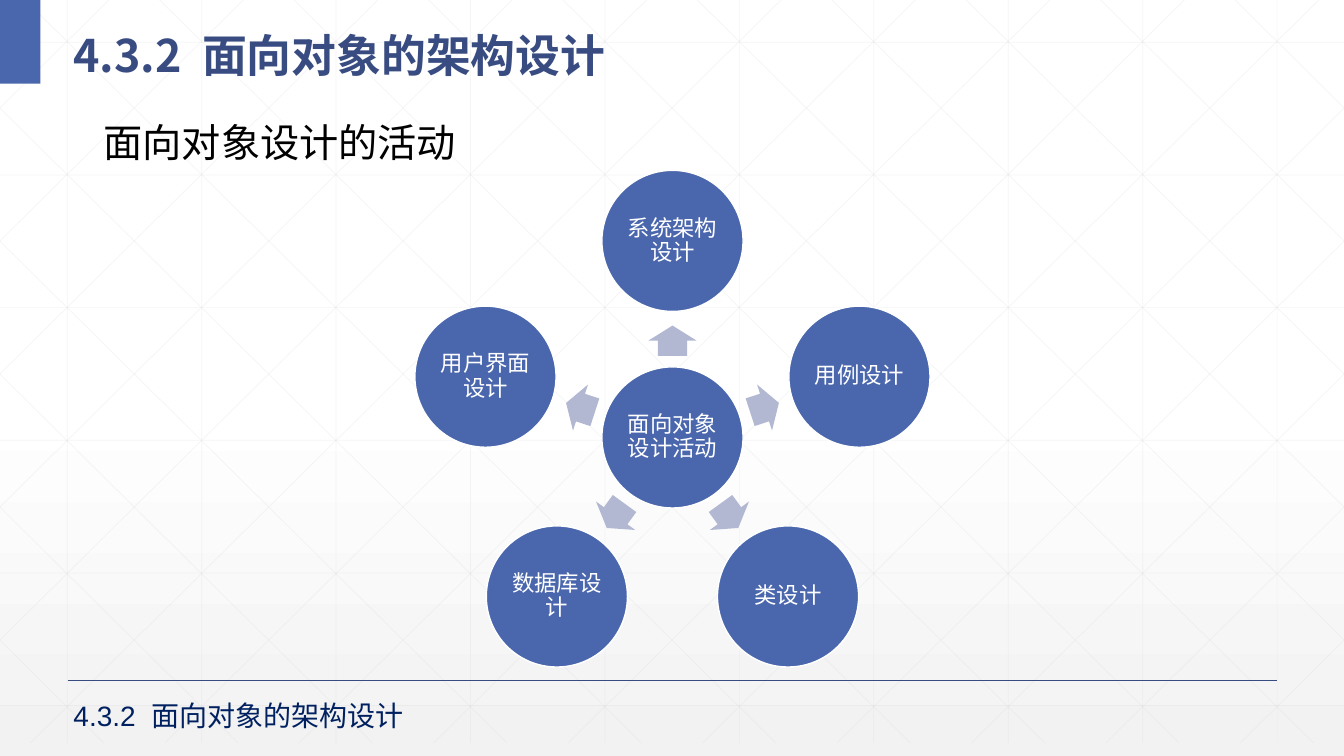
from dataclasses import dataclass
from math import cos, radians, sin

from lxml import etree
from pptx import Presentation
from pptx.dml.color import RGBColor
from pptx.enum.shapes import MSO_CONNECTOR, MSO_SHAPE
from pptx.enum.text import MSO_ANCHOR, PP_ALIGN
from pptx.oxml.ns import qn
from pptx.util import Inches, Pt

STRAIGHT = MSO_CONNECTOR.STRAIGHT
RECT, OVAL, ARROW = MSO_SHAPE.RECTANGLE, MSO_SHAPE.OVAL, MSO_SHAPE.RIGHT_ARROW
MIDDLE, TOP = MSO_ANCHOR.MIDDLE, MSO_ANCHOR.TOP
CENTER = PP_ALIGN.CENTER

WIDE, HIGH, DEEP = 13.33, 7.5, 7.37
BLUE, NAVY, WHITE = "4A66AC", "384C81", "FFFFFF"
HAN = "Noto Sans CJK SC"
HUB_X, HUB_Y, SIZE = 6.67, 4.34, 1.4
ORBIT, REACH = 1.95, 0.96
HUB = "面向对象设计活动"
TASKS = ["系统架构设计", "用例设计", "类设计", "数据库设计", "用户界面设计"]


@dataclass
class Label:
    words: list[str]
    left: float
    top: float
    width: float
    height: float
    size: int
    color: str
    face: str = "Arial"
    bold: bool = False
    wrap: bool = True
    anchor: MSO_ANCHOR = TOP
    lead: float = 1.0
    gap: int = 0


LABELS = [
    Label(["4.3.2", " ", "面向对象的架构设计"], 0.63, 0.1, 12.42, 0.73, 32, NAVY,
          face=HAN, bold=True, anchor=MIDDLE, lead=1.3, gap=700),
    Label(["面向对象设计的活动"], 0.93, 1.12, 3.7, 0.56, 28, "000000", wrap=False),
    Label(["4.3.2", " ", "面向对象的架构设计"], 0.63, 6.88, 4.69, 0.44, 20, "002060", gap=550),
]


def paint(color, code: str) -> None:
    color.rgb = RGBColor.from_string(code)


def apply(item, values: dict) -> None:
    for name, value in values.items():
        setattr(item, name, value)


def style(run, size: int, color: str, face: str = "Arial", bold: bool = False) -> None:
    apply(run.font, {"size": Pt(size), "name": face, "bold": bold})
    paint(run.font.color, color)
    etree.SubElement(run.font._element, qn("a:ea")).set("typeface", HAN)


def draw_line(slide, start: tuple, end: tuple, color: str, width: float, alpha: int = 100) -> None:
    line = slide.shapes.add_connector(STRAIGHT, *map(Inches, start + end))
    line.line.width = Pt(width)
    paint(line.line.color, color)
    if alpha < 100:
        tone = line._element.spPr.find(".//" + qn("a:srgbClr"))
        etree.SubElement(tone, qn("a:alpha")).set("val", str(alpha * 1000))
    etree.SubElement(line._element.spPr, qn("a:effectLst"))


def draw_shape(slide, kind: MSO_SHAPE, box: tuple, fill: str):
    shape = slide.shapes.add_shape(kind, *map(Inches, box))
    shape.shadow.inherit = False
    shape.fill.solid()
    paint(shape.fill.fore_color, fill)
    shape.line.fill.background()
    return shape


def draw_node(slide, text: str, x: float, y: float) -> None:
    node = draw_shape(slide, OVAL, (x - SIZE / 2, y - SIZE / 2, SIZE, SIZE), BLUE)
    node.line.fill.solid()
    paint(node.line.color, WHITE)
    node.line.width = Pt(1)
    frame = node.text_frame
    inset = Inches(0.02)
    apply(frame, {"word_wrap": True, "vertical_anchor": MIDDLE, "margin_left": inset,
                  "margin_right": inset, "margin_top": inset, "margin_bottom": inset})
    para = frame.paragraphs[0]
    apply(para, {"alignment": CENTER, "line_spacing": 0.9})
    run = para.add_run()
    run.text = text
    style(run, 16, WHITE)


def draw_arrow(slide, x: float, y: float, angle: float) -> None:
    wide, high = 0.3, 0.48
    arrow = draw_shape(slide, ARROW, (x - wide / 2, y - high / 2, wide, high), "B2B8D2")
    arrow.adjustments[0] = 0.6
    arrow.adjustments[1] = 0.5
    arrow.rotation = angle % 360


def draw_label(slide, label: Label) -> None:
    box = map(Inches, (label.left, label.top, label.width, label.height))
    frame = slide.shapes.add_textbox(*box).text_frame
    apply(frame, {"word_wrap": label.wrap, "vertical_anchor": label.anchor})
    para = frame.paragraphs[0]
    para.line_spacing = label.lead
    for word in label.words:
        run = para.add_run()
        run.text = word
        style(run, label.size, label.color, label.face, label.bold)
        if word == " ":
            run.font._element.set("spc", str(label.gap))


def draw_back(slide) -> None:
    fill = slide.background.fill
    fill.gradient()
    fill.gradient_angle = 270
    for stop, (place, code) in zip(fill.gradient_stops, [(0.53, WHITE), (1.0, "F2F2F2")]):
        stop.position = place
        paint(stop.color, code)


def draw_grid(slide) -> None:
    step, slope = 4 / 3, 0.99
    lines = [((2 / 3 + step * i, 0), (2 / 3 + step * i, DEEP)) for i in range(10)]
    lines += [((0, 0.42 + 1.316 * i), (WIDE, 0.42 + 1.316 * i)) for i in range(6)]
    for i in range(-5, 10):
        base = 0.25 + step * i
        left, right = max(base, 0), min(base + DEEP / slope, WIDE)
        high, low = (left - base) * slope, (right - base) * slope
        lines.append(((left, high), (right, low)))
        lines.append(((WIDE - left, high), (WIDE - right, low)))
    for start, end in lines:
        draw_line(slide, start, end, "D9D9D9", 0.5, alpha=25)


def draw_wheel(slide) -> None:
    draw_node(slide, HUB, HUB_X, HUB_Y)
    for i, task in enumerate(TASKS):
        angle = 360 / len(TASKS) * i - 90
        dx, dy = cos(radians(angle)), sin(radians(angle))
        draw_arrow(slide, HUB_X + REACH * dx, HUB_Y + REACH * dy, angle)
        draw_node(slide, task, HUB_X + ORBIT * dx, HUB_Y + ORBIT * dy)


def main() -> None:
    deck = Presentation()
    apply(deck, {"slide_width": Inches(WIDE), "slide_height": Inches(HIGH)})
    slide = deck.slides.add_slide(deck.slide_layouts[6])
    draw_back(slide)
    draw_grid(slide)
    draw_line(slide, (0.67, 6.75), (12.67, 6.75), NAVY, 1)
    draw_shape(slide, RECT, (0, 0, 0.4, 0.83), BLUE)
    draw_wheel(slide)
    for label in LABELS:
        draw_label(slide, label)
    deck.save("out.pptx")


if __name__ == "__main__":
    main()
